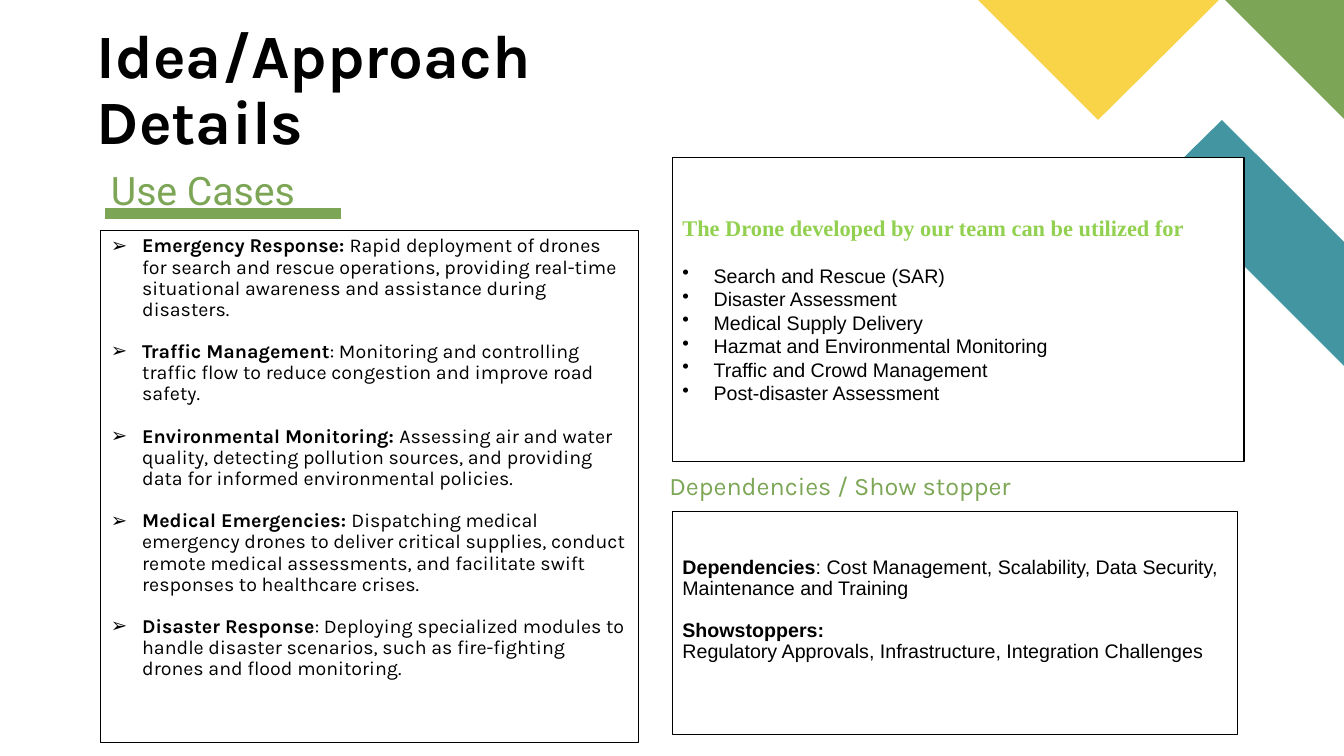
from lxml import etree
from pptx import Presentation
from pptx.dml.color import RGBColor
from pptx.enum.shapes import MSO_CONNECTOR, MSO_SHAPE
from pptx.enum.text import MSO_ANCHOR, MSO_AUTO_SIZE, PP_ALIGN
from pptx.oxml.ns import qn
from pptx.util import Emu, Pt

PX = 9144  # 100 px to the inch
TOP, MIDDLE, BOTTOM = MSO_ANCHOR.TOP, MSO_ANCHOR.MIDDLE, MSO_ANCHOR.BOTTOM
LEFT = PP_ALIGN.LEFT
RECTANGLE = MSO_SHAPE.RECTANGLE
STRAIGHT = MSO_CONNECTOR.STRAIGHT
FIT_NONE = MSO_AUTO_SIZE.NONE

BLACK, WHITE = "000000", "FFFFFF"
GREEN, TEAL, YELLOW, LIME = "7CA655", "4495A2", "F9D448", "92D050"

USE_CASES = [
    ("Emergency Response: ", "Rapid deployment of drones for search and rescue operations, "
     "providing real-time situational awareness and assistance during disasters."),
    ("Traffic Management", ": Monitoring and controlling traffic flow to reduce congestion "
     "and improve road safety."),
    ("Environmental Monitoring: ", "Assessing air and water quality, detecting pollution "
     "sources, and providing data for informed environmental policies."),
    ("Medical Emergencies: ", "Dispatching medical emergency drones to deliver critical "
     "supplies, conduct remote medical assessments, and facilitate swift responses to "
     "healthcare crises."),
    ("Disaster Response", ": Deploying specialized modules to handle disaster scenarios, "
     "such as fire-fighting drones and flood monitoring."),
]
APPLICATIONS = [
    "Search and Rescue (SAR)", "Disaster Assessment", "Medical Supply Delivery",
    "Hazmat and Environmental Monitoring", "Traffic and Crowd Management",
    "Post-disaster Assessment",
]
CORNER_PIECES = [
    (TEAL, [(1334, 364), (1334, 241), (1212, 119), (1150, 180)]),
    (GREEN, [(1334, 119), (1334, 0), (1215, 0)]),
    (YELLOW, [(970, 0), (1089, 119), (1209, 0)]),
]


def px(length):
    return Emu(length * PX)


def color(value):
    return RGBColor.from_string(value)


def place(shape, box):
    shape.left, shape.top, shape.width, shape.height = map(px, box)


def outline(shape, width):
    shape.line.color.rgb = color(BLACK)
    shape.line.width = Pt(width)


def prepare(shape, anchor=TOP, insets=(10, 5, 10, 5)):
    """Set wrapping, anchor and insets (left, top, right, bottom); return the text frame."""
    frame = shape.text_frame
    frame.word_wrap = True
    frame.auto_size = FIT_NONE
    frame.vertical_anchor = anchor
    (frame.margin_left, frame.margin_top,
     frame.margin_right, frame.margin_bottom) = map(px, insets)
    return frame


def add_paragraph(frame, runs, size, font, ink=BLACK, spacing=0.9, after=0, bullet=None):
    """Write (text, bold) runs into the empty first paragraph or a new one."""
    first = frame.paragraphs[0]
    paragraph = frame.add_paragraph() if first.runs else first
    paragraph.alignment = LEFT
    paragraph.line_spacing = spacing
    paragraph.space_before = Pt(0)
    paragraph.space_after = Pt(after)
    for text, bold in runs:
        run = paragraph.add_run()
        run.text = text
        run.font.name, run.font.size, run.font.bold = font, Pt(size), bold
        run.font.color.rgb = color(ink)
    properties = paragraph._p.get_or_add_pPr()
    indent = 31 if bullet else 0
    properties.set("marL", str(px(indent)))
    properties.set("indent", str(px(-indent)))
    if bullet:
        bullet_color = etree.SubElement(properties, qn("a:buClr"))
        etree.SubElement(bullet_color, qn("a:srgbClr"), val=BLACK)
        etree.SubElement(properties, qn("a:buChar"), char=bullet)
    else:
        etree.SubElement(properties, qn("a:buNone"))


def add_panel(slide, box, width, fill=None):
    panel = slide.shapes.add_shape(RECTANGLE, *map(px, box))
    panel.shadow.inherit = False
    if fill:
        panel.fill.solid()
        panel.fill.fore_color.rgb = color(fill)
    else:
        panel.fill.background()
    outline(panel, width)
    return panel


def add_corner(slide):
    for fill, points in CORNER_PIECES:
        builder = slide.shapes.build_freeform(*points[0], scale=PX)
        builder.add_line_segments(points[1:], close=True)
        piece = builder.convert_to_shape()
        piece.shadow.inherit = False
        piece.fill.solid()
        piece.fill.fore_color.rgb = color(fill)
        piece.line.fill.background()


def add_title(slide, box):
    title = slide.shapes.title
    place(title, box)
    frame = prepare(title, BOTTOM, (0, 0, 0, 0))
    add_paragraph(frame, [("Idea/Approach Details", True)], 44, "Karla")


def add_use_cases(slide, box):
    left, top, width, height = box
    heading, cases = slide.placeholders[1], slide.placeholders[2]
    place(heading, (left, top, width, 35))
    add_paragraph(prepare(heading), [("Use Cases", False)], 28, "Roboto", GREEN)

    underline = slide.shapes.add_connector(
        STRAIGHT, *map(px, (left + 4, top + 47, left + 238, top + 47)))
    underline.line.color.rgb = color(GREEN)
    underline.line.width = Pt(8)
    etree.SubElement(underline._element.spPr, qn("a:effectLst"))

    place(cases, (left, top + 64, width, height - 64))
    outline(cases, 0.75)
    frame = prepare(cases)
    for name, detail in USE_CASES:
        add_paragraph(frame, [(name, True), (detail, False)], 14, "Karla",
                      after=15, bullet="➢")


def add_applications(slide, box):
    frame = prepare(add_panel(slide, box, 1, WHITE), MIDDLE)
    add_paragraph(frame, [("The Drone developed by our team can be utilized for", True)],
                  16, "Times New Roman", LIME, spacing=1, after=16)
    for application in APPLICATIONS:
        add_paragraph(frame, [(application, False)], 14, "Arial", spacing=1, bullet="•")


def add_dependencies(slide, box):
    left, top, width, height = box
    heading = slide.shapes.add_textbox(*map(px, (left - 13, top, width - 6, 35)))
    add_paragraph(prepare(heading), [("Dependencies / Show stopper", False)],
                  18, "Karla", GREEN)

    panel = add_panel(slide, (left, top + 42, width, height - 42), 0.75)
    frame = prepare(panel, insets=(10, 46, 10, 5))
    add_paragraph(frame, [
        ("Dependencies", True),
        (": Cost Management, Scalability, Data Security, Maintenance and Training", False),
    ], 14, "Arial", after=15)
    add_paragraph(frame, [("Showstoppers:", True)], 14, "Arial")
    add_paragraph(frame, [
        ("Regulatory Approvals, Infrastructure, Integration Challenges", False),
    ], 14, "Arial")


def main():
    presentation = Presentation()
    presentation.slide_width, presentation.slide_height = px(1333), px(750)
    slide = presentation.slides.add_slide(presentation.slide_layouts[3])
    slide.background.fill.solid()
    slide.background.fill.fore_color.rgb = color(WHITE)
    add_corner(slide)
    add_title(slide, (96, 90, 632, 67))
    add_use_cases(slide, (100, 165, 533, 572))
    add_dependencies(slide, (667, 465, 560, 264))
    add_applications(slide, (667, 156, 567, 302))
    presentation.save("out.pptx")


if __name__ == "__main__":
    main()
